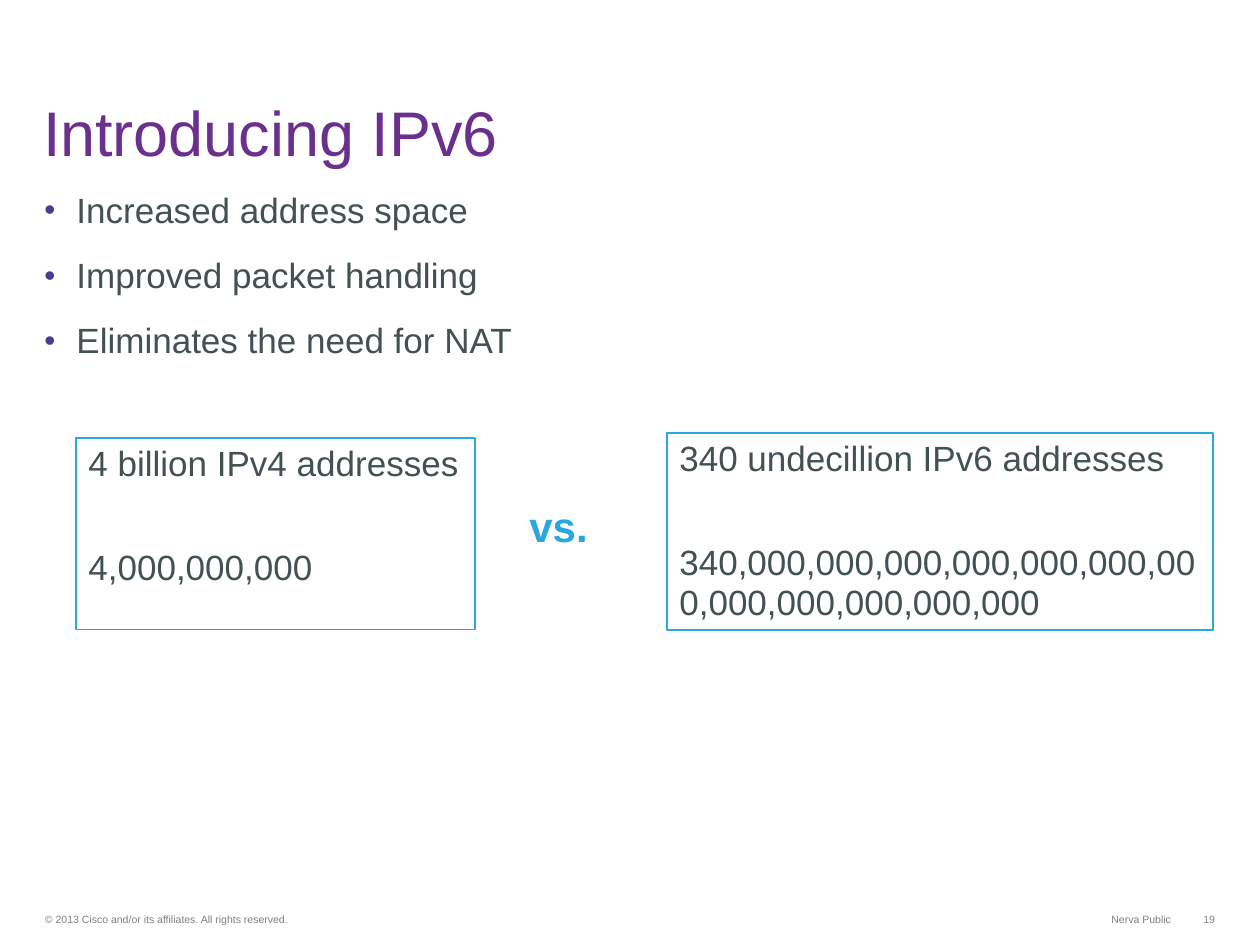
from dataclasses import dataclass

from lxml import etree
from pptx import Presentation, util as u
from pptx.dml.color import RGBColor
from pptx.enum import shapes, text
from pptx.oxml.ns import qn

PX = 914400 // 126


@dataclass(frozen=True)
class Theme:
    font: str = "Arial"
    title: str = "6B308E"
    body: str = "435153"
    bullet: str = "493B93"
    accent: str = "2AA7DF"
    footer: str = "808080"
    title_pt: int = 36
    body_pt: int = 20
    versus_pt: int = 24
    footer_pt: int = 6
    gap_pt: float = 14.4
    figure_gap_pt: int = 37


T = Theme()
LEFT, RIGHT = text.PP_ALIGN.LEFT, text.PP_ALIGN.RIGHT
BODY = {"line_spacing": 0.95, "alignment": LEFT}


def set_all(obj, values):
    for name, value in values.items():
        setattr(obj, name, value)


def add_bullet(p):
    pPr = p._p.get_or_add_pPr()
    indent = 32 * PX
    pPr.set("marL", str(indent))
    pPr.set("indent", str(-indent))
    color = etree.SubElement(pPr, qn("a:buClr"))
    etree.SubElement(color, qn("a:srgbClr"), val=T.bullet)
    etree.SubElement(pPr, qn("a:buSzPct"), val="90000")
    etree.SubElement(pPr, qn("a:buFont"), typeface=T.font)
    etree.SubElement(pPr, qn("a:buChar"), char="•")


def write(sp, lines, size, color, para=None, gap=0, bullets=False, bold=False,
          frame=None):
    tf = sp.text_frame
    set_all(tf, {"word_wrap": True, "vertical_anchor": text.MSO_ANCHOR.TOP,
                 **(frame or {})})
    for i, line in enumerate(lines):
        p = tf.paragraphs[0] if i == 0 else tf.add_paragraph()
        set_all(p, para or {})
        if i:
            p.space_before = u.Pt(gap)
        if bullets:
            add_bullet(p)
        r = p.add_run()
        r.text = line
        set_all(r.font, {"name": T.font, "size": u.Pt(size), "bold": bold})
        r.font.color.rgb = RGBColor.from_string(color)


def add_text(s, box, lines, size, color, **style):
    sp = s.shapes.add_textbox(*(v * PX for v in box))
    write(sp, lines, size, color, **style)


def add_footer(s, box, line, align=LEFT):
    frame = {"vertical_anchor": text.MSO_ANCHOR.BOTTOM,
             "word_wrap": align == LEFT,
             "margin_left": 11 * PX, "margin_right": 11 * PX,
             "margin_top": 5 * PX, "margin_bottom": 5 * PX}
    add_text(s, box, [line], T.footer_pt, T.footer,
             para={"alignment": align}, frame=frame)


def add_address_box(s, box, label, figure):
    sp = s.shapes.add_shape(shapes.MSO_SHAPE.RECTANGLE, *(v * PX for v in box))
    sp.shadow.inherit = False
    sp.fill.background()
    sp.line.color.rgb = RGBColor.from_string(T.accent)
    sp.line.width = u.Pt(0.75)
    write(sp, [label, figure], T.body_pt, T.body, para=BODY,
          gap=T.figure_gap_pt)


def main():
    prs = Presentation()
    set_all(prs, {"slide_width": u.Inches(10), "slide_height": u.Inches(7.5)})
    s = prs.slides.add_slide(prs.slide_layouts[6])

    # Footer
    add_footer(s, (34, 907, 471, 24),
               "© 2013 Cisco and/or its affiliates. All rights reserved.")
    add_footer(s, (1100, 907, 82, 24), "Nerva Public", RIGHT)
    add_footer(s, (1191, 907, 35, 24), "19", RIGHT)

    # Title and benefits
    add_text(s, (32, 59, 1183, 116), ["Introducing IPv6"], T.title_pt, T.title,
             para={"line_spacing": 0.8},
             frame={"vertical_anchor": text.MSO_ANCHOR.BOTTOM,
                    "margin_left": 11 * PX, "margin_right": 11 * PX})
    add_text(s, (32, 185, 1182, 684),
             ["Increased address space", "Improved packet handling",
              "Eliminates the need for NAT"],
             T.body_pt, T.body, para=BODY, gap=T.gap_pt, bullets=True)

    # Address space comparison
    add_address_box(s, (76, 438, 399, 192),
                    "4 billion IPv4 addresses", "4,000,000,000")
    add_address_box(s, (667, 433, 546, 197), "340 undecillion IPv6 addresses",
                    "340,000,000,000,000,000,000,000,000,000,000,000,000")
    add_text(s, (517, 494, 88, 63), ["vs."], T.versus_pt, T.accent, bold=True)

    prs.save("out.pptx")


if __name__ == "__main__":
    main()
